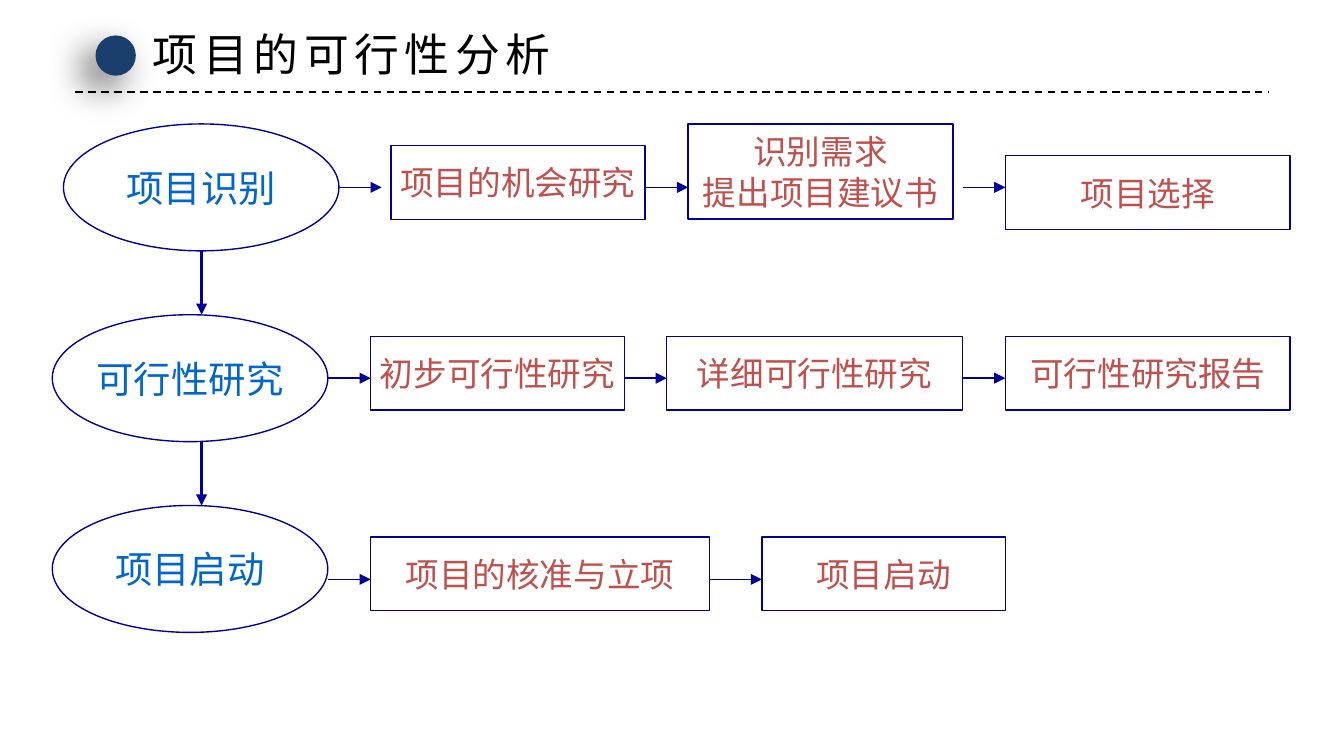
from dataclasses import dataclass

from lxml.etree import SubElement
from pptx import Presentation
from pptx.dml.color import RGBColor
from pptx.enum.dml import MSO_LINE_DASH_STYLE as Dash
from pptx.enum.shapes import MSO_CONNECTOR as Connector, MSO_SHAPE as Shape
from pptx.enum.text import MSO_ANCHOR as Anchor, MSO_AUTO_SIZE as AutoSize, PP_ALIGN as Align
from pptx.oxml.ns import qn
from pptx.util import Pt

COLORS = {"ink": "000000", "dot": "1A3F6C", "outline": "000099",
          "stage": "0066CC", "step": "C0504D"}
FONT = "Noto Sans CJK SC"
STAGE_FONT = {"size": Pt(20), "name": FONT}
STEP_FONT = {"size": Pt(18), "name": FONT}
TITLE_FONT = {"size": Pt(24), "name": FONT}
NODE_FRAME = {"word_wrap": False, "vertical_anchor": Anchor.MIDDLE}
TITLE_FRAME = {"word_wrap": False, "auto_size": AutoSize.SHAPE_TO_FIT_TEXT}


@dataclass
class Step:
    text: str
    left: float
    width: float
    drop: float = 11.5
    height: float = 39.6
    arrow: float = 22.8
    gap: float = 0


def rgb(name):
    return RGBColor.from_string(COLORS[name])


def apply(target, values):
    for key, value in values.items():
        setattr(target, key, value)


def write(frame, text, font, color):
    frame.text = text
    for paragraph in frame.paragraphs:
        for run in paragraph.runs:
            apply(run.font, font)
            run.font.color.rgb = rgb(color)
            SubElement(run.font._element, qn("a:ea"), typeface=FONT)


def add_line(slide, start, end, color, width):
    line = slide.shapes.add_connector(Connector.STRAIGHT, *map(Pt, start + end))
    line.line.color.rgb = rgb(color)
    line.line.width = Pt(width)
    SubElement(line._element.spPr, qn("a:effectLst"))
    return line


def add_arrow(slide, start, end, width=0.75):
    arrow = add_line(slide, start, end, "outline", width)
    SubElement(arrow.line._get_or_add_ln(), qn("a:tailEnd"), type="triangle")


def add_node(slide, kind, box, text, font, color):
    node = slide.shapes.add_shape(kind, *map(Pt, box))
    node.shadow.inherit = False
    node.fill.background()
    node.line.color.rgb = rgb("outline")
    node.line.width = Pt(0.75)
    apply(node.text_frame, NODE_FRAME)
    write(node.text_frame, text, font, color)
    for paragraph in node.text_frame.paragraphs:
        paragraph.alignment = Align.CENTER
        properties = paragraph._p.get_or_add_pPr()
        properties.set("marL", str(Pt(27)))
        properties.set("indent", str(Pt(-27)))


def add_heading(slide, box, text):
    left, top, width, height = box
    add_line(slide, (left, top + height), (left + width, top + height),
             "ink", 1).line.dash_style = Dash.DASH

    dot = slide.shapes.add_shape(
        Shape.OVAL, Pt(left + 10.8), Pt(top + 8), Pt(21.6), Pt(21.6))
    dot.fill.solid()
    dot.fill.fore_color.rgb = rgb("dot")
    dot.line.fill.background()
    dot.shadow.inherit = False
    effects = dot._element.spPr.find(qn("a:effectLst"))
    shadow = SubElement(effects, qn("a:outerShdw"), blurRad=str(Pt(20)),
                        dist=str(Pt(10)), dir="8100000", algn="tr", rotWithShape="0")
    shade = SubElement(shadow, qn("a:srgbClr"), val=COLORS["ink"])
    SubElement(shade, qn("a:alpha"), val="60000")

    title = slide.shapes.add_textbox(
        Pt(left + 34.5), Pt(top), Pt(232.6), Pt(36)).text_frame
    apply(title, TITLE_FRAME)
    write(title, text, TITLE_FONT, "ink")
    title.paragraphs[0].runs[0].font._element.set("spc", "300")


def add_stage_row(slide, box, stage, steps, arrow_drop=34):
    left, top, width, height = box
    add_node(slide, Shape.OVAL, box, stage, STAGE_FONT, "stage")
    arrow_y = top + arrow_drop
    for step in steps:
        step_left = left + step.left
        tip = step_left - step.gap
        add_arrow(slide, (tip - step.arrow, arrow_y), (tip, arrow_y))
        add_node(slide, Shape.RECTANGLE,
                 (step_left, top + step.drop, step.width, step.height),
                 step.text, STEP_FONT, "step")


def add_flow(slide, box):
    left, top, width, height = box
    oval_width, oval_height, pitch = 147.6, 68, 102.2
    rows = [
        (6, "项目识别", 34, [
            Step("项目的机会研究", 175.5, 136, gap=5),
            Step("识别需求\n提出项目建议书", 334.6, 142, drop=0, height=51),
            Step("项目选择", 504.6, 152.6, drop=17)]),
        (0, "可行性研究", 34, [
            Step("初步可行性研究", 170.6, 136),
            Step("详细可行性研究", 329.2, 158.4),
            Step("可行性研究报告", 510.6, 152.6)]),
        (0, "项目启动", 39.6, [
            Step("项目的核准与立项", 170.6, 181.4, drop=16.8),
            Step("项目启动", 380.2, 130.4, drop=16.8, arrow=28)]),
    ]
    for index, (shift, stage, arrow_drop, steps) in enumerate(rows):
        row_top = top + index * pitch
        add_stage_row(slide, (left + shift, row_top, oval_width, oval_height),
                      stage, steps, arrow_drop)
        if index:
            add_arrow(slide, (left + 80, row_top - pitch + oval_height),
                      (left + 80, row_top), 1.5)


def main():
    deck = Presentation()
    apply(deck, {"slide_width": Pt(720), "slide_height": Pt(405)})
    slide = deck.slides.add_slide(deck.slide_layouts[6])
    add_heading(slide, (40.4, 11, 639.2, 38.2), "项目的可行性分析")
    add_flow(slide, (28, 66.4, 664, 272.4))
    deck.save("out.pptx")


if __name__ == "__main__":
    main()
